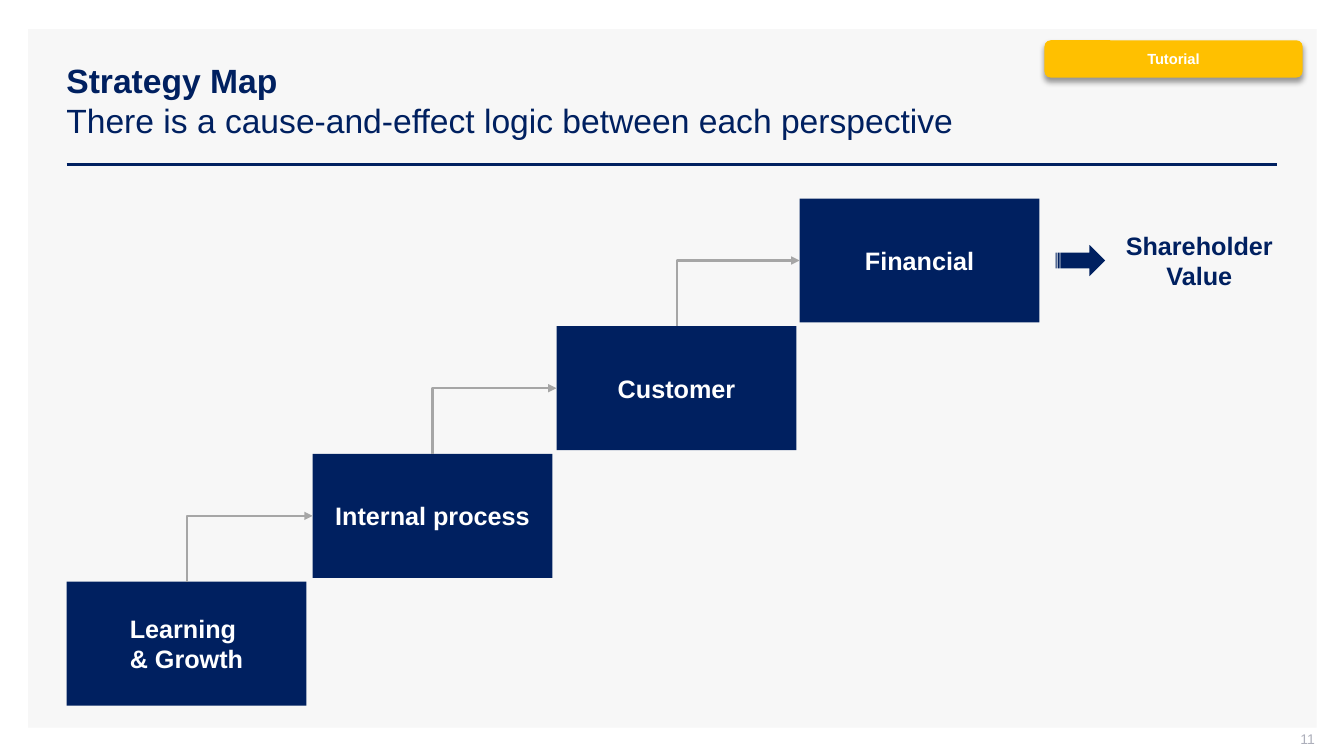
from lxml import etree
from pptx import Presentation
from pptx.dml.color import RGBColor
from pptx.enum.shapes import MSO_CONNECTOR as CONNECTOR, MSO_SHAPE as SHAPE
from pptx.enum.text import MSO_ANCHOR as ANCHOR, PP_ALIGN as ALIGN
from pptx.oxml import parse_xml
from pptx.oxml.ns import nsdecls, qn
from pptx.util import Inches, Pt

NAVY, WHITE, PANEL = "002060", "FFFFFF", "F7F7F7"
ARROW_GREY, NUMBER_GREY, AMBER = "A6A6A6", "ADAFBB", "FFC000"

STEPS = [("Learning \n& Growth", 0.66), ("Internal process", 3.1),
         ("Customer", 5.52), ("Financial", 7.93)]
BOTTOM_STEP, TOP_STEP = 5.77, 1.97
STEP_WIDTH, STEP_HEIGHT = 2.38, 1.23


def color(hex_string):
    return RGBColor.from_string(hex_string)


def style_paragraph(paragraph, size, hex_color, bold=None, align=None):
    paragraph.alignment = align
    font = paragraph.font
    font.name, font.size, font.bold = "Arial", Pt(size), bold
    font.color.rgb = color(hex_color)


def write_text(shape, text, size, hex_color, bold=True, align=ALIGN.CENTER):
    frame = shape.text_frame
    frame.word_wrap = True
    frame.vertical_anchor = ANCHOR.MIDDLE
    frame.text = text
    for paragraph in frame.paragraphs:
        style_paragraph(paragraph, size, hex_color, bold, align)


def set_insets(shape, left, top, right, bottom):
    frame = shape.text_frame
    frame.margin_left, frame.margin_top = Inches(left), Inches(top)
    frame.margin_right, frame.margin_bottom = Inches(right), Inches(bottom)


def add_box(slide, preset, bounds, fill):
    shape = slide.shapes.add_shape(preset, *map(Inches, bounds))
    shape.shadow.inherit = False
    shape.fill.solid()
    shape.fill.fore_color.rgb = color(fill)
    shape.line.fill.background()
    return shape


def add_text_box(slide, bounds):
    return slide.shapes.add_textbox(*map(Inches, bounds))


def style_line(connector, hex_color, width):
    connector.line.color.rgb = color(hex_color)
    connector.line.width = Pt(width)
    etree.SubElement(connector._element.spPr, qn("a:effectLst"))


def add_title(slide, heading, subtitle):
    box = add_text_box(slide, (0.56, 0.4, 12.11, 1.19))
    frame = box.text_frame
    frame.word_wrap = True
    frame.vertical_anchor = ANCHOR.MIDDLE
    paragraph = frame.paragraphs[0]
    style_paragraph(paragraph, 24, NAVY)
    heading_run = paragraph.add_run()
    heading_run.text = heading
    heading_run.font.bold = True
    paragraph.add_line_break()
    paragraph.add_run().text = subtitle


def add_rule(slide):
    rule = slide.shapes.add_connector(
        CONNECTOR.STRAIGHT, Inches(0.66), Inches(1.63), Inches(12.67), Inches(1.63))
    style_line(rule, NAVY, 2)


def add_step_arrow(slide, lower, upper):
    """Lead up from the top of the lower step, then right into the upper one."""
    start_x, start_y = lower.left + lower.width // 2, lower.top
    end_x, end_y = upper.left, upper.top + upper.height // 2
    arrow = slide.shapes.add_connector(CONNECTOR.ELBOW, start_x, start_y, end_x, end_y)
    arrow.begin_connect(lower, 0)
    arrow.end_connect(upper, 1)

    # One-bend connector: its frame is turned a quarter, so the sides swap.
    across, rise = end_x - start_x, start_y - end_y
    arrow.left = (start_x + end_x - rise) // 2
    arrow.top = (start_y + end_y - across) // 2
    arrow.width, arrow.height = rise, across
    properties = arrow._element.spPr
    transform = properties.find(qn("a:xfrm"))
    for name, value in (("rot", "5400000"), ("flipH", "1"), ("flipV", "1")):
        transform.set(name, value)
    properties.find(qn("a:prstGeom")).set("prst", "bentConnector2")

    style_line(arrow, ARROW_GREY, 1.5)
    etree.SubElement(properties.find(qn("a:ln")), qn("a:tailEnd"), type="triangle")


def add_staircase(slide):
    rise = (BOTTOM_STEP - TOP_STEP) / (len(STEPS) - 1)
    steps = []
    for index, (label, left) in enumerate(STEPS):
        bounds = (left, BOTTOM_STEP - index * rise, STEP_WIDTH, STEP_HEIGHT)
        step = add_box(slide, SHAPE.RECTANGLE, bounds, NAVY)
        write_text(step, label, 18, WHITE)
        steps.append(step)
    for lower, upper in zip(steps, steps[1:]):
        add_step_arrow(slide, lower, upper)


def add_outcome(slide):
    add_box(slide, SHAPE.STRIPED_RIGHT_ARROW, (10.47, 2.43, 0.49, 0.31), NAVY)
    outcome = add_text_box(slide, (11.11, 2.28, 1.57, 0.61))
    set_insets(outcome, 0, 0, 0, 0)
    write_text(outcome, "Shareholder Value", 18, NAVY)


def add_tag(slide):
    tag = add_box(slide, SHAPE.ROUNDED_RECTANGLE, (10.36, 0.4, 2.56, 0.37), AMBER)
    write_text(tag, "Tutorial", 10.5, WHITE)
    effects = tag._element.spPr.find(qn("a:effectLst"))
    effects.append(parse_xml(
        f'<a:outerShdw {nsdecls("a")} blurRad="{Pt(4)}" dist="{Pt(3)}" dir="5400000" '
        'algn="t" rotWithShape="0"><a:srgbClr val="000000"><a:alpha val="40000"/>'
        '</a:srgbClr></a:outerShdw>'))


def add_slide_number(slide, number):
    box = add_text_box(slide, (10.04, 7.25, 3, 0.21))
    set_insets(box, 0.1, 0, 0, 0.05)
    write_text(box, number, 10, NUMBER_GREY, False, ALIGN.RIGHT)


def main():
    presentation = Presentation()
    presentation.slide_width, presentation.slide_height = Inches(13.33), Inches(7.5)
    slide = presentation.slides.add_slide(presentation.slide_layouts[6])
    add_box(slide, SHAPE.RECTANGLE, (0.28, 0.29, 12.78, 6.93), PANEL)
    add_rule(slide)
    add_title(slide, "Strategy Map",
              "There is a cause-and-effect logic between each perspective")
    add_slide_number(slide, "11")
    add_staircase(slide)
    add_outcome(slide)
    add_tag(slide)
    presentation.save("out.pptx")


if __name__ == "__main__":
    main()
